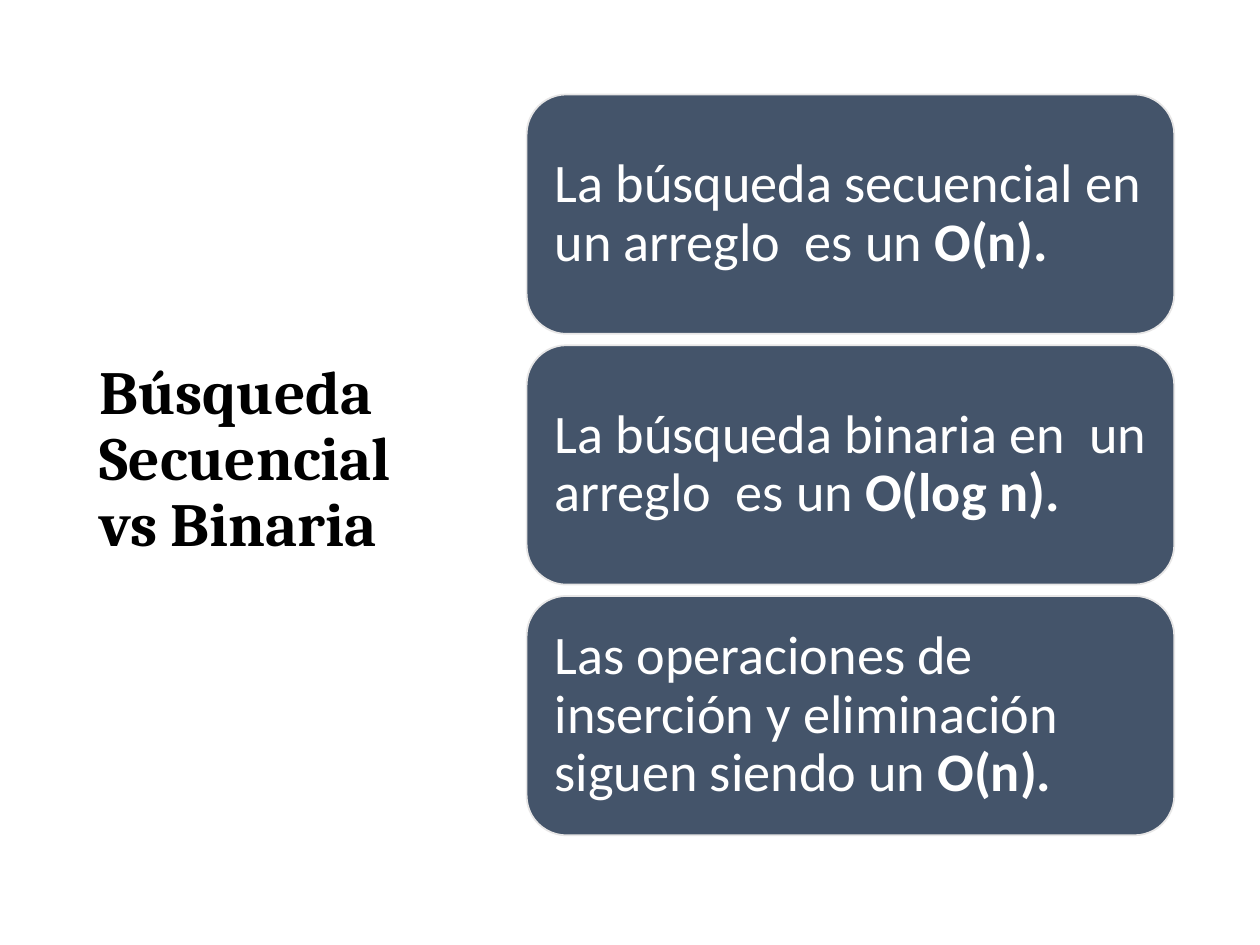
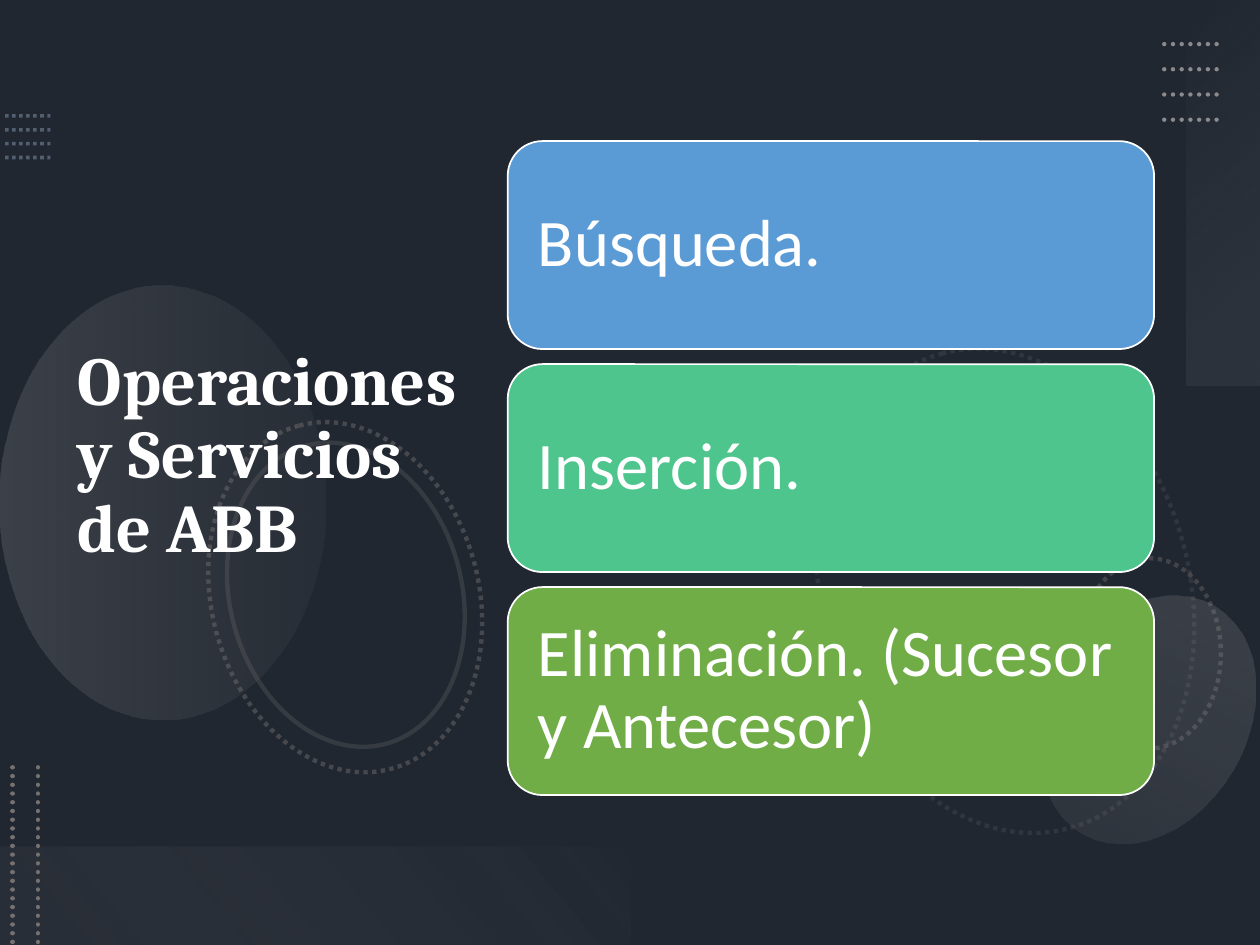
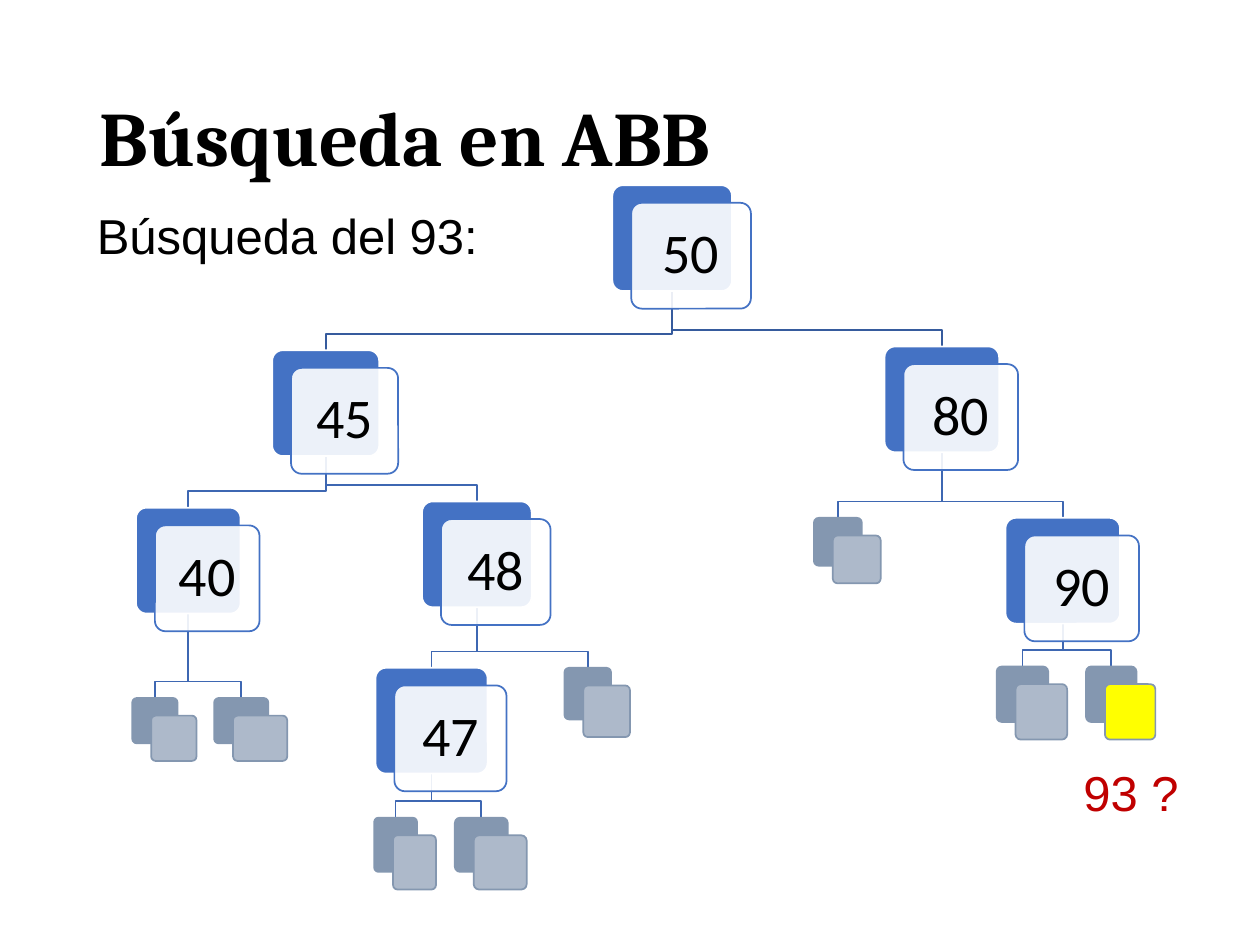
from collections import namedtuple

from lxml import etree
from pptx import Presentation
from pptx.dml.color import RGBColor
from pptx.enum import dml, shapes, text
from pptx.oxml.ns import qn
from pptx.util import Inches, Pt

WHITE = RGBColor(0xFF, 0xFF, 0xFF)
BLACK = RGBColor(0x00, 0x00, 0x00)
SLATE = RGBColor(0x44, 0x54, 0x6A)
MIST = RGBColor(0xE7, 0xE6, 0xE6)
STEEL = RGBColor(0x84, 0x97, 0xB0)
PALE_STEEL = RGBColor(0xAD, 0xB9, 0xCA)
GRAY = RGBColor(0x76, 0x71, 0x71)
LIGHT_GRAY = RGBColor(0xAF, 0xAB, 0xAB)
FOG = RGBColor(0xF5, 0xF5, 0xF5)
SKY = RGBColor(0x5B, 0x9B, 0xD5)
MINT = RGBColor(0x4D, 0xC5, 0x8D)
GREEN = RGBColor(0x70, 0xAD, 0x47)
BLUE = RGBColor(0x44, 0x72, 0xC4)
BRANCH = RGBColor(0x3E, 0x67, 0xB2)
ROOT_BRANCH = RGBColor(0x36, 0x5B, 0x9D)
YELLOW = RGBColor(0xFF, 0xFF, 0x00)
RED = RGBColor(0xC0, 0x00, 0x00)

TITLE_FONT, BODY_FONT, NOTE_FONT = "Cambria", "Calibri", "Arial"
ROUNDED = shapes.MSO_SHAPE.ROUNDED_RECTANGLE
OVAL = shapes.MSO_SHAPE.OVAL
RECTANGLE = shapes.MSO_SHAPE.RECTANGLE

Box = namedtuple("Box", "left top width height")
Stop = namedtuple("Stop", "position color opacity")
Node = namedtuple("Node", "box label children fill", defaults=("", (), PALE_STEEL))


def inches(values):
    return [Inches(value) for value in values]


def set_opacity(parent, *percents):
    """Give the colours found under an XML element their opacity, in order."""
    for color, percent in zip(parent.iter(qn("a:srgbClr")), percents):
        etree.SubElement(color, qn("a:alpha")).set("val", str(percent * 1000))


def style_line(item, color, width, dotted=False, opacity=None, round_cap=False):
    item.line.color.rgb = color
    item.line.width = Pt(width)
    if dotted:
        item.line.dash_style = dml.MSO_LINE.ROUND_DOT
    outline = item.element.spPr.find(qn("a:ln"))
    if round_cap:
        outline.set("cap", "rnd")
    if opacity is not None:
        set_opacity(outline, opacity)


def add_shape(page, kind, box, fill=None, opacity=None, rotation=0):
    shape = page.shapes.add_shape(kind, *inches(box))
    shape.shadow.inherit = False
    shape.rotation = rotation
    shape.line.fill.background()
    if fill is None:
        shape.fill.background()
    else:
        shape.fill.solid()
        shape.fill.fore_color.rgb = fill
        if opacity is not None:
            set_opacity(shape.element.spPr, opacity)
    return shape


def add_gradient(page, kind, box, rotation, angle, stops):
    """Add a borderless shape whose gradient runs clockwise at the angle."""
    shape = add_shape(page, kind, box, rotation=rotation)
    shape.fill.gradient()
    shape.fill.gradient_angle = 360 - angle
    for target, stop in zip(shape.fill.gradient_stops, stops):
        target.color.rgb = stop.color
        target.position = stop.position
    set_opacity(shape.element.spPr.find(qn("a:gradFill")),
                *(stop.opacity for stop in stops))


def add_dots(page, start, end, color, width, **style):
    line = page.shapes.add_connector(
        shapes.MSO_CONNECTOR.STRAIGHT, *inches(start + end))
    style_line(line, color, width, dotted=True, **style)
    etree.SubElement(line.element.spPr, qn("a:effectLst"))


def write(frame, runs, font, size, color, align=text.PP_ALIGN.LEFT, spacing=0.9):
    """Write one paragraph from (wording, bold) pairs."""
    para = frame.paragraphs[0]
    para.alignment = align
    para.line_spacing = spacing
    for wording, bold in runs:
        span = para.add_run()
        span.text = wording
        span.font.name = font
        span.font.size = Pt(size)
        span.font.bold = bold
        span.font.color.rgb = color


def set_frame(frame, inset):
    frame.word_wrap = True
    frame.vertical_anchor = text.MSO_ANCHOR.MIDDLE
    frame.margin_left = frame.margin_right = Inches(inset)
    frame.margin_top = frame.margin_bottom = Inches(inset)


def add_title(page, box, wording, size, color=BLACK):
    frame = page.shapes.add_textbox(*inches(box)).text_frame
    set_frame(frame, 0.1)
    write(frame, [(wording, True)], TITLE_FONT, size, color)


def add_note(page, box, wording, color=BLACK):
    frame = page.shapes.add_textbox(*inches(box)).text_frame
    frame.word_wrap = False
    write(frame, [(wording, False)], NOTE_FONT, 28, color, spacing=1)


def add_cards(page, box, height, cards, border, size, inset):
    """Spread (fill, runs) cards evenly down the box."""
    step = (box.height - height) / (len(cards) - 1)
    for index, (fill, runs) in enumerate(cards):
        place = Box(box.left, box.top + index * step, box.width, height)
        card = add_shape(page, ROUNDED, place, fill)
        style_line(card, border, 1)
        set_frame(card.text_frame, inset)
        write(card.text_frame, runs, BODY_FONT, size, WHITE)


def add_dot_rows(page, box, count, color, width, **style):
    for index in range(count):
        y = box.top + index * box.height / (count - 1)
        add_dots(page, (box.left, y), (box.left + box.width, y), color, width, **style)


def add_dot_columns(page, box, count, color, width, **style):
    for index in range(count):
        x = box.left + index * box.width / (count - 1)
        add_dots(page, (x, box.top), (x, box.top + box.height), color, width, **style)


def add_ring(page, box, rotation, opacity, dotted=True):
    ring = add_shape(page, OVAL, box, rotation=rotation)
    style_line(ring, GRAY, 2.5, dotted, opacity)


def add_backdrop(page, box):
    add_shape(page, RECTANGLE, box, BLACK, 53)
    x, y = box.left, box.top
    right, bottom = x + box.width, y + box.height
    add_dot_rows(page, Box(x + 0.04, y + 0.92, 0.36, 0.33), 4, STEEL, 2, opacity=50)
    add_ring(page, Box(right - 3.97, y + 3.23, 3.9, 2.92), 75, 20)
    add_ring(page, Box(right - 1.63, y + 4.62, 1.51, 1.13), 270, 40)
    add_gradient(page, OVAL, Box(x - 0.43, y + 2.7, 3.44, 2.58), 270, 90,
                 [Stop(0, LIGHT_GRAY, 20), Stop(1, GRAY, 10)])
    add_gradient(page, OVAL, Box(right - 1.67, y + 4.67, 1.56, 2.08), 210, 90,
                 [Stop(0, LIGHT_GRAY, 10), Stop(1, LIGHT_GRAY, 20)])
    add_ring(page, Box(x + 1.33, y + 3.68, 2.82, 2.12), 75, 45)
    add_ring(page, Box(x + 1.52, y + 3.8, 2.45, 1.84), 75, 25, dotted=False)
    add_gradient(page, RECTANGLE, Box(right - 1.82, y + 1.24, 3.06, 0.58), 270, 140,
                 [Stop(0, FOG, 0), Stop(1, LIGHT_GRAY, 10)])
    add_dot_rows(page, Box(right - 0.76, y + 0.35, 0.45, 0.6), 4, LIGHT_GRAY, 2.5,
                 opacity=75, round_cap=True)
    add_gradient(page, RECTANGLE, Box(x, bottom - 0.78, 5, 0.78), 180, 140,
                 [Stop(0.1, GRAY, 10), Stop(1, FOG, 0)])
    add_dot_columns(page, Box(x + 0.1, bottom - 1.41, 0.2, 1.41), 2, GRAY, 2.5,
                    round_cap=True)


def add_branches(page, node, color=BRANCH):
    """Draw the elbows from a node down to its children, then theirs."""
    x = node.box.left + node.box.width / 2
    y = node.box.top + node.box.height
    for child in node.children:
        end_x, end_y = child.box.left + child.box.width / 2, child.box.top
        bend = end_y - 0.13
        path = page.shapes.build_freeform(Inches(x), Inches(y))
        path.add_line_segments(
            [inches(point) for point in ((x, bend), (end_x, bend), (end_x, end_y))],
            close=False)
        elbow = path.convert_to_shape()
        elbow.shadow.inherit = False
        elbow.fill.background()
        style_line(elbow, color, 1)
        add_branches(page, child)


def add_nodes(page, node):
    """Draw a node as two offset cards, then its children."""
    box = node.box
    front_box = Box(box.left + 0.15, box.top + 0.14, box.width, box.height)
    back = add_shape(page, ROUNDED, box, BLUE if node.label else STEEL)
    style_line(back, WHITE if node.label else STEEL, 1)
    if node.label:
        front = add_shape(page, ROUNDED, front_box, WHITE, 90)
        style_line(front, BLUE, 1)
        set_frame(front.text_frame, 0.13)
        write(front.text_frame, [(node.label, False)], BODY_FONT, 32, BLACK,
              text.PP_ALIGN.CENTER)
    else:
        front = add_shape(page, ROUNDED, front_box, node.fill)
        style_line(front, STEEL, 1)
    for card in (back, front):
        card.adjustments[0] = 0.1
    for child in node.children:
        add_nodes(page, child)


def key_node(left, top, width, label, *children):
    return Node(Box(left, top, width, 0.84), label, children)


def empty_node(left, top, width, height, fill=PALE_STEEL):
    return Node(Box(left, top, width, height), fill=fill)


def add_page(deck, background=WHITE):
    page = deck.slides.add_slide(deck.slide_layouts[6])
    page.background.fill.solid()
    page.background.fill.fore_color.rgb = background
    return page


def build_comparison(deck):
    page = add_page(deck)
    add_title(page, Box(0.69, 0.61, 2.77, 6.09), "Búsqueda Secuencial vs Binaria", 35)
    facts = [
        ("La búsqueda secuencial en un arreglo  es un ", "O(n)."),
        ("La búsqueda binaria en  un arreglo  es un ", "O(log n)."),
        ("Las operaciones de inserción y eliminación siguen siendo un ", "O(n)."),
    ]
    cards = [(SLATE, [(fact, False), (order, True)]) for fact, order in facts]
    add_cards(page, Box(4.18, 0.75, 5.14, 5.88), 1.9, cards, MIST, 31, 0.13)


def build_operations(deck):
    page = add_page(deck, SLATE)
    add_backdrop(page, Box(0, 0, 10, 7.5))
    add_title(page, Box(0.52, 0.54, 3.44, 6.17), "Operaciones y Servicios de ABB",
              39, WHITE)
    operations = [(SKY, "Búsqueda."), (MINT, "Inserción."),
                  (GREEN, "Eliminación. (Sucesor y Antecesor)")]
    cards = [(fill, [(name, False)]) for fill, name in operations]
    add_cards(page, Box(4.03, 1.12, 5.13, 5.19), 1.65, cards, WHITE, 38, 0.16)


def build_search_tree(deck):
    page = add_page(deck)
    add_title(page, Box(0.69, 0.4, 8.62, 1.45), "Búsqueda en ABB", 44)
    tree = key_node(
        4.86, 1.47, 0.95, "50",
        key_node(
            2.16, 2.78, 0.85, "45",
            key_node(1.08, 4.03, 0.83, "40",
                     empty_node(1.05, 5.54, 0.36, 0.36),
                     empty_node(1.7, 5.54, 0.43, 0.36)),
            key_node(3.35, 3.98, 0.87, "48",
                     key_node(2.98, 5.3, 0.89, "47",
                              empty_node(2.97, 6.49, 0.34, 0.43),
                              empty_node(3.61, 6.49, 0.42, 0.43)),
                     empty_node(4.48, 5.3, 0.37, 0.41))),
        key_node(
            7.02, 2.75, 0.91, "80",
            empty_node(6.46, 4.11, 0.38, 0.38),
            key_node(7.98, 4.11, 0.91, "90",
                     empty_node(7.91, 5.29, 0.41, 0.44),
                     empty_node(8.62, 5.29, 0.4, 0.44, YELLOW))))
    add_branches(page, tree, ROOT_BRANCH)
    add_nodes(page, tree)
    add_note(page, Box(0.67, 1.58, 3.26, 0.57), "Búsqueda del 93:")
    add_note(page, Box(8.5, 6, 0.97, 0.57), "93 ?", RED)


def main():
    deck = Presentation()
    deck.slide_width, deck.slide_height = Inches(10), Inches(7.5)
    build_comparison(deck)
    build_operations(deck)
    build_search_tree(deck)
    deck.save("out.pptx")


if __name__ == "__main__":
    main()
